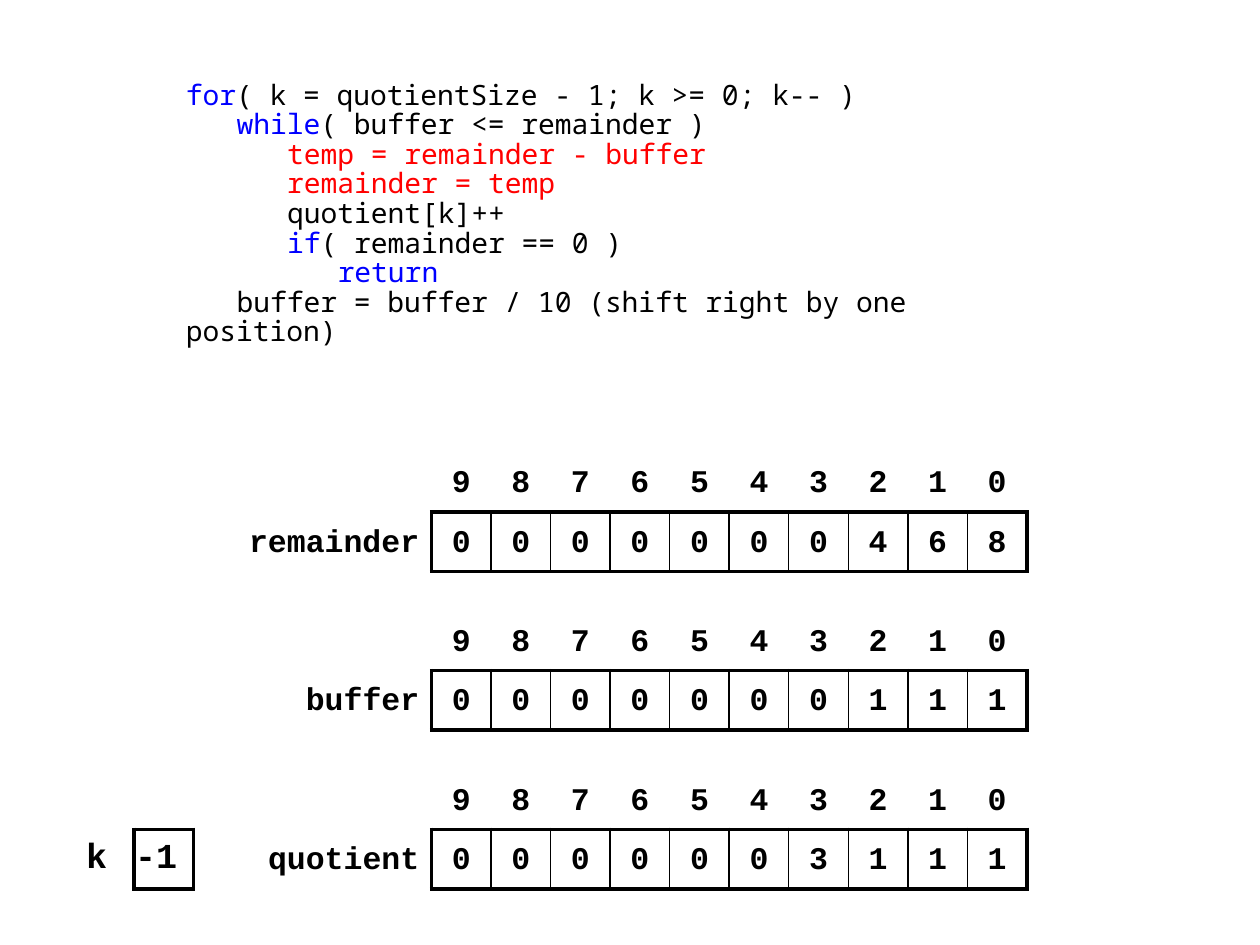
from lxml import etree
from pptx import Presentation
from pptx.dml.color import RGBColor
from pptx.enum.text import MSO_ANCHOR, PP_ALIGN
from pptx.oxml.ns import qn
from pptx.util import Cm, Pt

CENTER, RIGHT = PP_ALIGN.CENTER, PP_ALIGN.RIGHT
TOP, MIDDLE = MSO_ANCHOR.TOP, MSO_ANCHOR.MIDDLE
BLACK, BLUE, RED = "000000", "0000FF", "FF0000"
CODE_FONT, TABLE_FONT = "Noto Sans Mono", "Courier New"
NO_STYLE = "{2D5ABB26-0587-4C30-8999-92F81FD0307C}"
THICK, THIN = 2.25, 1
CELL = 1.2
LABEL_WIDTH = 4
INDENT = 1.02

# Each line of code: indent level, then (text, colour) parts
CODE = [
    (0, [("for", BLUE), ("( k = quotientSize - 1; k >= 0; k-- )", BLACK)]),
    (1, [("while", BLUE), ("( buffer <= remainder )", BLACK)]),
    (2, [("temp = remainder - buffer", RED)]),
    (2, [("remainder = temp", RED)]),
    (2, [("quotient[k]++", BLACK)]),
    (2, [("if", BLUE), ("( remainder == 0 )", BLACK)]),
    (3, [("return", BLUE)]),
    (1, [("buffer = buffer / 10 (shift right by one position)", BLACK)]),
]
ARRAYS = [
    ("remainder", "0000000468"),
    ("buffer", "0000000111"),
    ("quotient", "0000003111"),
]


def rgb(color):
    return RGBColor.from_string(color)


def style_run(r, font, size, color=BLACK, bold=False):
    r.font.name = font
    r.font.size = Pt(size)
    r.font.bold = bold
    r.font.color.rgb = rgb(color)


def add_code(s, left, top, width, height):
    tf = s.shapes.add_textbox(Cm(left), Cm(top), Cm(width), Cm(height)).text_frame
    tf.word_wrap = True
    for i, (level, parts) in enumerate(CODE):
        p = tf.add_paragraph() if i else tf.paragraphs[0]
        p.line_spacing = 0.88
        # First-line indent only, so wrapped text returns to the margin
        p._p.get_or_add_pPr().set("indent", str(Cm(INDENT * level)))
        for text, color in parts:
            r = p.add_run()
            r.text = text
            style_run(r, CODE_FONT, 16, color)


def add_plain_table(s, left, top, widths, rows):
    frame = s.shapes.add_table(rows, len(widths), Cm(left), Cm(top),
                               Cm(sum(widths)), Cm(CELL * rows))
    table = frame.table
    table.first_row = table.horz_banding = False
    table._tbl.tblPr.find(qn("a:tableStyleId")).text = NO_STYLE
    for column, width in zip(table.columns, widths):
        column.width = Cm(width)
    for cell in table.iter_cells():
        cell.fill.background()
    return table


def set_cell(cell, text, align=CENTER, size=18, spacing=1.25, anchor=TOP,
             left=0.25, right=0.25):
    cell.margin_left, cell.margin_right = Cm(left), Cm(right)
    cell.margin_top = cell.margin_bottom = Cm(0.1)
    cell.vertical_anchor = anchor
    cell.text_frame.text = text
    p = cell.text_frame.paragraphs[0]
    p.alignment = align
    p.line_spacing = spacing
    style_run(p.runs[0], TABLE_FONT, size, bold=True)


def set_borders(cell, **widths):
    """Draw the given sides (L, R, T, B), which precede the fill in the XML."""
    tcPr = cell._tc.get_or_add_tcPr()
    sides = [side for side in "LRTB" if side in widths]
    for i, side in enumerate(sides):
        ln = etree.Element(qn(f"a:ln{side}"), w=str(Pt(widths[side])))
        fill = etree.SubElement(ln, qn("a:solidFill"))
        etree.SubElement(fill, qn("a:srgbClr"), val=BLACK)
        tcPr.insert(i, ln)


def add_array(s, top, name, digits):
    count = len(digits)
    table = add_plain_table(s, 4.7, top, [LABEL_WIDTH] + [CELL] * count, 2)
    label = table.cell(1, 0)
    set_cell(label, name, RIGHT)
    set_borders(label, R=THICK)
    for col, digit in enumerate(digits, 1):
        set_cell(table.cell(0, col), str(count - col))
        cell = table.cell(1, col)
        set_cell(cell, digit)
        set_borders(cell, L=THICK if col == 1 else THIN,
                    R=THICK if col == count else THIN, T=THICK, B=THICK)


def add_counter(s, left, top, name, value):
    table = add_plain_table(s, left, top, [CELL, CELL], 1)
    for col, text in enumerate((name, value)):
        set_cell(table.cell(0, col), text, size=20, spacing=1, anchor=MIDDLE,
                 left=0, right=0.3)
    set_borders(table.cell(0, 0), R=THICK)
    set_borders(table.cell(0, 1), L=THICK, R=THICK, T=THICK, B=THICK)


def main():
    prs = Presentation()
    prs.slide_width, prs.slide_height = Cm(25.4), Cm(19.05)
    s = prs.slides.add_slide(prs.slide_layouts[6])

    # Division algorithm
    add_code(s, 3.5, 1.52, 18.4, 5.6)

    # Digit arrays, evenly spaced
    for i, (name, digits) in enumerate(ARRAYS):
        add_array(s, 9.12 + 3.2 * i, name, digits)

    # Loop counter
    add_counter(s, 1.5, 16.72, "k", "-1")

    prs.save("out.pptx")


if __name__ == "__main__":
    main()
